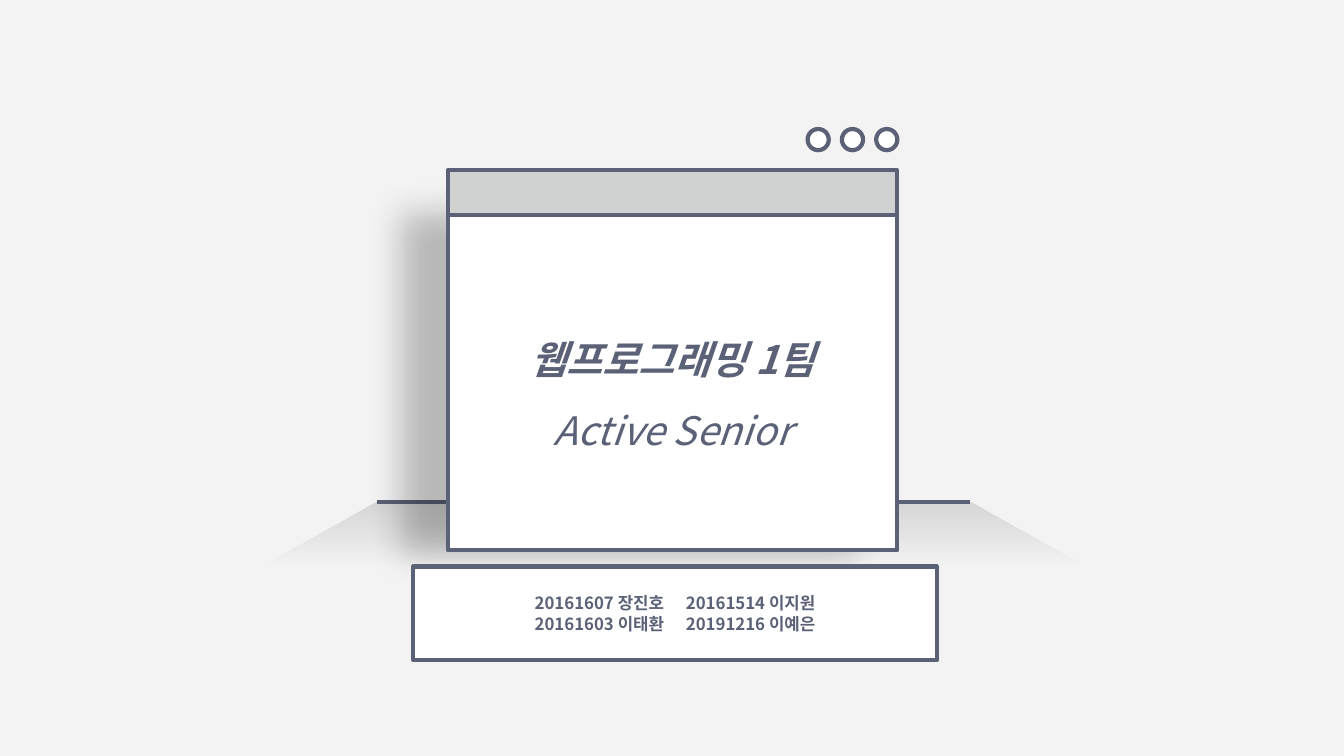
from pptx import Presentation
from pptx.dml.color import RGBColor as RGB
from pptx.enum.shapes import MSO_CONNECTOR as LINK, MSO_SHAPE as KIND
from pptx.enum.text import MSO_ANCHOR as ANCHOR, PP_ALIGN as ALIGN
from pptx.oxml import parse_xml
from pptx.oxml.ns import nsdecls, qn
from pptx.util import Inches, Pt
from lxml.etree import SubElement

COLORS = {"back": "F3F3F3", "ink": "5B6176", "paper": "FFFFFF", "bar": "D0D2D2", "shade": "000000"}
FACE = "Noto Sans CJK KR"
TITLE = {"size": Pt(28), "name": FACE, "bold": True, "italic": True}
SUB = {**TITLE, "bold": False}
NAMES = {"size": Pt(12), "name": FACE, "bold": True}


def color(key):
    """Return the named colour."""
    return RGB.from_string(COLORS[key])


def add_part(slide, kind, box, fill):
    """Add a filled, outlined shape without shadow."""
    part = slide.shapes.add_shape(kind, *map(Inches, box))
    part.shadow.inherit = False
    part.fill.solid()
    part.fill.fore_color.rgb = color(fill)
    part.line.color.rgb = color("ink")
    part.line.width = Pt(3)
    return part


def write(part, rows, space=1.0):
    """Fill a shape with centred rows of text and format."""
    frame = part.text_frame
    frame.word_wrap = True
    frame.vertical_anchor = ANCHOR.MIDDLE
    for i, (text, style) in enumerate(rows):
        para = frame.add_paragraph() if i else frame.paragraphs[0]
        para.alignment = ALIGN.CENTER
        para.line_spacing = space
        run = para.add_run()
        run.text = text
        for key, value in style.items():
            setattr(run.font, key, value)
        run.font.color.rgb = color("ink")
        SubElement(run.font._element, qn("a:ea"), typeface=FACE)


def add_floor(slide, left, top, width, height):
    """Draw the fading floor and the horizon at its top edge."""
    floor = slide.shapes.add_shape(KIND.TRAPEZOID, *map(Inches, (left, top, width, height)))
    floor.shadow.inherit = False
    floor.adjustments[0] = 1.83
    floor.line.fill.background()
    floor.fill.gradient()
    floor.fill.gradient_angle = 270
    for stop, place, alpha in zip(floor.fill.gradient_stops, (0, 1), (13000, 0)):
        stop.position = place
        stop.color.rgb = color("shade")
        tint = stop._gs.find(qn("a:srgbClr"))
        SubElement(tint, qn("a:alpha"), val=str(alpha))
    inset = 1.83 * height
    ends = (left + inset, top, left + width - inset, top)
    line = slide.shapes.add_connector(LINK.STRAIGHT, *map(Inches, ends))
    line.line.color.rgb = color("ink")
    line.line.width = Pt(3)
    SubElement(line._element.spPr, qn("a:effectLst"))


def add_window(slide, left, top, width, height):
    """Draw the window with its title bar and three buttons above."""
    bar, dot, step = 0.44, 0.21, 0.34
    page = add_part(slide, KIND.RECTANGLE, (left, top + bar, width, height - bar), "paper")
    page._element.spPr.find(qn("a:effectLst")).append(parse_xml(
        f'<a:outerShdw {nsdecls("a")} blurRad="{Pt(25)}" dist="{Pt(32)}" dir="10800000" '
        f'algn="r" rotWithShape="0"><a:srgbClr val="{COLORS["shade"]}">'
        '<a:alpha val="24000"/></a:srgbClr></a:outerShdw>'))
    write(page, [("웹프로그래밍 1팀", TITLE), ("Active Senior", SUB)], 1.5)
    add_part(slide, KIND.RECTANGLE, (left, top, width, bar), "bar")
    for i in range(3):
        spot = left + width - dot - (2 - i) * step
        add_part(slide, KIND.OVAL, (spot, top - 0.41, dot, dot), "paper")


def add_team(slide, *box):
    """Draw the plate with the team members."""
    rows = ["20161607 장진호\t20161514 이지원", "20161603 이태환\t20191216 이예은"]
    plate = add_part(slide, KIND.RECTANGLE, box, "paper")
    write(plate, [(row, NAMES) for row in rows])


def main():
    """Build and save the title slide."""
    deck = Presentation()
    deck.slide_width, deck.slide_height = Inches(13.33), Inches(7.5)
    slide = deck.slides.add_slide(deck.slide_layouts[6])
    slide.background.fill.solid()
    slide.background.fill.fore_color.rgb = color("back")
    add_floor(slide, 2.57, 4.98, 8.22, 0.64)
    add_window(slide, 4.44, 1.69, 4.46, 3.77)
    add_team(slide, 4.1, 5.62, 5.19, 0.93)
    deck.save("out.pptx")


if __name__ == "__main__":
    main()
